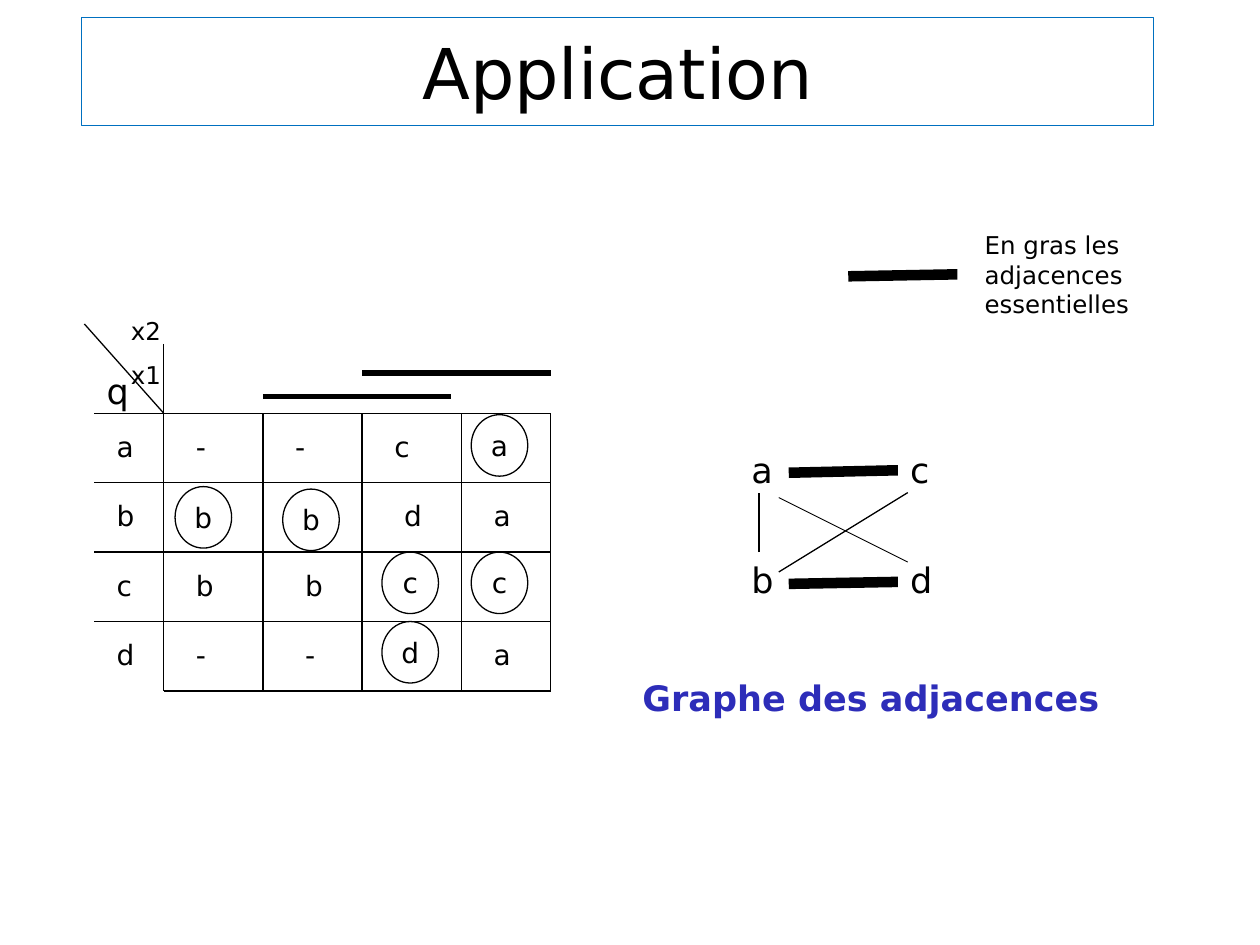
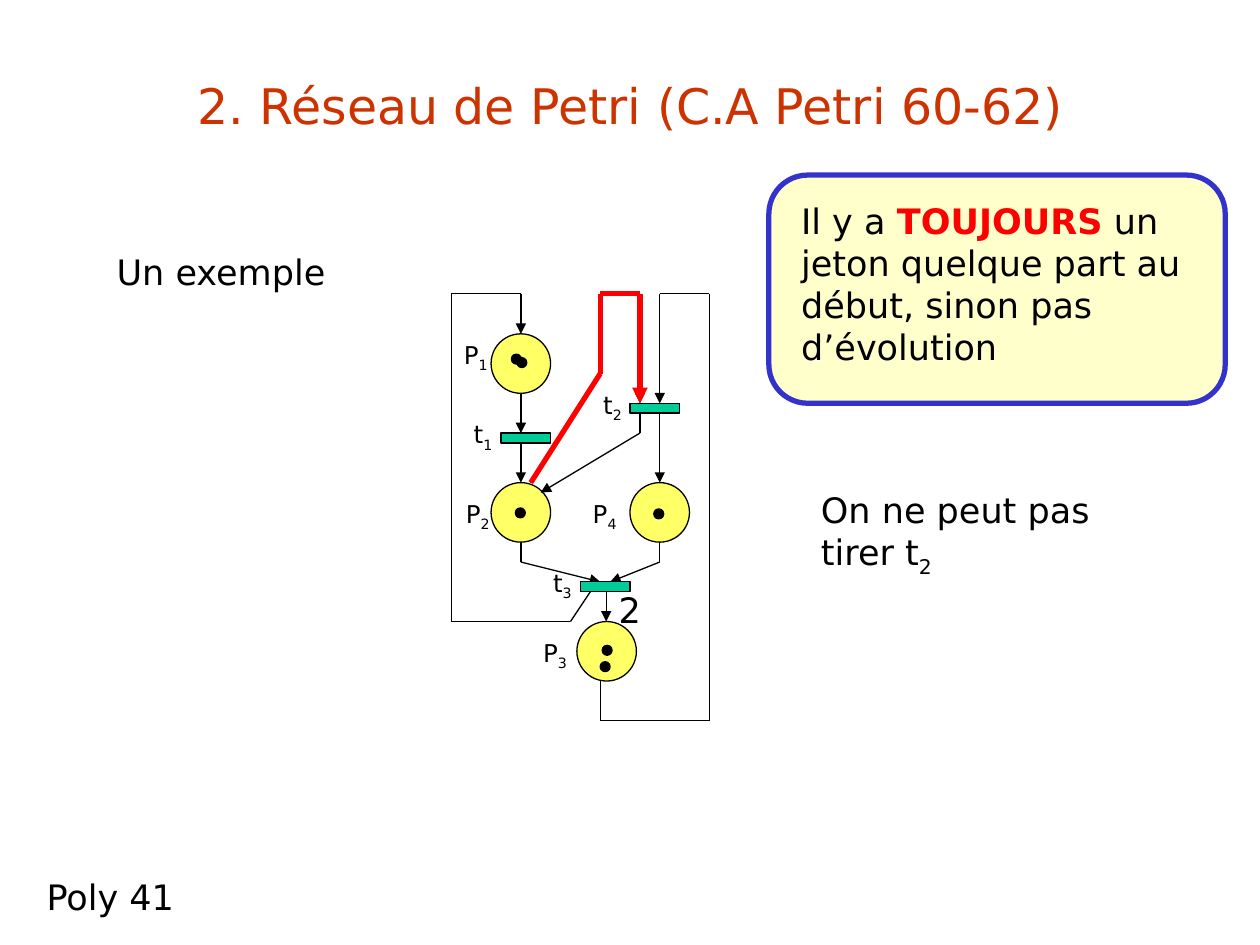
from dataclasses import dataclass
from itertools import pairwise

from lxml import etree
from pptx import Presentation
from pptx.dml.color import RGBColor
from pptx.enum.shapes import MSO_CONNECTOR, MSO_SHAPE
from pptx.enum.text import MSO_ANCHOR, MSO_AUTO_SIZE, PP_ALIGN
from pptx.oxml.ns import qn
from pptx.util import Cm, Pt

STRAIGHT = MSO_CONNECTOR.STRAIGHT
OVAL, BAR, ROUNDED = MSO_SHAPE.OVAL, MSO_SHAPE.RECTANGLE, MSO_SHAPE.ROUNDED_RECTANGLE
LEFT, CENTER = PP_ALIGN.LEFT, PP_ALIGN.CENTER
TOP, MIDDLE = MSO_ANCHOR.TOP, MSO_ANCHOR.MIDDLE
TITLE_ONLY = 5


@dataclass(frozen=True)
class Theme:
    font: str = "DejaVu Sans"
    black: str = "000000"
    red: str = "FF0000"
    title_red: str = "CC3300"
    title_border: str = "0070C0"
    caption_blue: str = "2D2DB9"
    callout_fill: str = "FFFFCC"
    callout_border: str = "3333CC"
    place: str = "FFFF66"
    transition: str = "00CC99"
    label: int = 14
    cell: int = 16
    body: int = 20
    petri_title: int = 28
    big_title: int = 40
    thin: float = 0.75
    thick: float = 3
    essential: float = 6


THEME = Theme()

# Content of slide 1, lengths in cm
APPLICATION_TITLE = "Application"
COLUMN_EDGES = [3.3, 5.3, 7.3, 9.3, 11.1]
STATE_LEFT, TABLE_TOP, ROW_HEIGHT = 1.9, 8.33, 1.4
# State, then its cells: text, left, and for a stable state the circle's drop in the row
STATES = [
    ("a", [("-", 3.7, None), ("-", 5.7, None), ("c", 7.7, None), ("a", 9.5, 0.03)]),
    ("b", [("b", 3.53, 0.08), ("b", 5.7, 0.13), ("d", 7.9, None), ("a", 9.7, None)]),
    ("c", [("b", 3.7, None), ("b", 5.9, None), ("c", 7.7, 0), ("c", 9.5, 0)]),
    ("d", [("-", 3.7, None), ("-", 5.9, None), ("d", 7.7, 0), ("a", 9.7, None)]),
]
INPUT_BARS = [((7.3, 7.52), (11.1, 7.52)), ((5.3, 8), (9.1, 8))]
GRAPH_NODES = [("a", 14.9, 8.92), ("c", 18.1, 8.92), ("b", 14.9, 11.13), ("d", 18.1, 11.13)]
ADJACENCIES = [
    ((15.9, 9.53), (18.1, 9.48), THEME.essential),
    ((15.9, 11.77), (18.1, 11.73), THEME.essential),
    ((15.3, 11.13), (15.3, 9.93), 1),
    ((15.7, 11.53), (18.3, 9.93), THEME.thin),
    ((15.7, 10.03), (18.3, 11.33), 0.5),
    ((17.1, 5.57), (19.3, 5.53), THEME.essential),
]
LEGEND = "En gras les adjacences essentielles"
CAPTION = "Graphe des adjacences"

# Content of slide 2, lengths in cm
PETRI_TITLE = "2. Réseau de Petri (C.A Petri 60-62)"
SUBSCRIPT = {"baseline": -25}
PLACES = [(12.7, 9.73), (9.9, 9.73), (9.9, 6.73), (11.63, 12.53)]
TRANSITIONS = [(10.1, 8.73), (11.7, 11.73), (12.7, 8.13)]
TOKENS = [(13.18, 10.26), (10.42, 7.21), (10.39, 10.24),
          (12.14, 13.01), (12.1, 13.34), (10.31, 7.14)]
BLOCKED_ARC = [(10.7, 9.73), (12.1, 7.53), (12.1, 5.92), (12.9, 5.92), (12.9, 8.13)]
ARCS = [
    [(10.5, 7.93), (10.5, 8.73)],
    [(10.5, 8.93), (10.5, 9.73)],
    [(10.5, 10.93), (10.5, 11.33), (12.1, 11.73)],
    [(13.3, 10.93), (13.3, 11.33), (12.3, 11.73)],
    [(12.22, 11.93), (12.22, 12.53)],
    [(12.1, 13.73), (12.1, 14.53), (14.3, 14.53), (14.3, 5.92), (13.3, 5.92), (13.3, 8.13)],
    [(13.3, 8.33), (13.3, 9.73)],
    [(12.9, 8.33), (12.9, 8.73), (10.9, 9.93)],
    [(11.9, 11.93), (11.5, 12.53), (9.1, 12.53), (9.1, 5.92), (10.5, 5.92), (10.5, 6.73)],
    BLOCKED_ARC,
]
NET_LABELS = [
    ("t", "1", 9.3, 8.33), ("t", "2", 11.91, 7.73), ("t", "3", 10.9, 11.33),
    ("P", "1", 9.1, 6.73), ("P", "2", 9.14, 9.93), ("P", "4", 11.7, 9.93),
    ("P", "3", 10.7, 12.73),
]
CALLOUT = [("Il y a ", {}), ("TOUJOURS", {"color": THEME.red, "bold": True}),
           (" un jeton quelque part au début, sinon pas d’évolution", {})]
BLOCKED_NOTE = [("On ne peut pas tirer t", {}), ("2", SUBSCRIPT)]
NET_NOTES = [
    ("Un exemple", (2.1, 4.93, 4.8, 1.1)),
    (CALLOUT, (15.9, 3.89, 8.99, 3.63)),
    ("2", (12.22, 11.73, 1.4, 1.1)),
    (BLOCKED_NOTE, (16.3, 9.73, 7.6, 1.96)),
    ("Poly 41", (0.69, 17.53, 3.6, 1.1)),
]


# Shared helpers
def rgb(color):
    return RGBColor.from_string(color)


def cm(*lengths):
    return [Cm(length) for length in lengths]


def format_run(run, size, color, bold=False, baseline=0):
    run.font.name, run.font.size, run.font.bold = THEME.font, Pt(size), bold
    run.font.color.rgb = rgb(color)
    if baseline:
        run.font._element.set("baseline", str(baseline * 1000))


def write(shape, *paragraphs, size=THEME.body, color=THEME.black, bold=False,
          align=LEFT, anchor=TOP, space_before=0):
    """Fill a shape; a paragraph is a string or a list of (text, run format)."""
    frame = shape.text_frame
    frame.word_wrap, frame.auto_size = True, MSO_AUTO_SIZE.NONE
    frame.vertical_anchor = anchor
    for index, content in enumerate(paragraphs):
        paragraph = frame.add_paragraph() if index else frame.paragraphs[0]
        paragraph.alignment = align
        if index:
            paragraph.space_before = Pt(space_before)
        runs = [(content, {})] if isinstance(content, str) else content
        for text, changes in runs:
            run = paragraph.add_run()
            run.text = text
            format_run(run, **{"size": size, "color": color, "bold": bold, **changes})


def add_text(slide, box, *paragraphs, **text_format):
    write(slide.shapes.add_textbox(*cm(*box)), *paragraphs, **text_format)


def add_title(slide, text, box, size, color):
    title = slide.shapes.title
    title.left, title.top, title.width, title.height = cm(*box)
    write(title, text, size=size, color=color, align=CENTER, anchor=MIDDLE)
    return title


def add_line(slide, start, end, color=THEME.black, width=THEME.thin, arrow=False):
    connector = slide.shapes.add_connector(STRAIGHT, *cm(*start, *end))
    connector.line.color.rgb, connector.line.width = rgb(color), Pt(width)
    if arrow:
        etree.SubElement(connector.line._get_or_add_ln(), qn("a:tailEnd"), type="triangle")
    etree.SubElement(connector._element.spPr, qn("a:effectLst"))


def add_arc(slide, points, **line_format):
    """Join the points, with an arrowhead on the last segment."""
    for start, end in pairwise(points):
        add_line(slide, start, end, arrow=end == points[-1], **line_format)


def add_figure(slide, kind, box, fill=None, border=THEME.black, width=THEME.thin):
    shape = slide.shapes.add_shape(kind, *cm(*box))
    shape.shadow.inherit = False
    if fill:
        shape.fill.solid()
        shape.fill.fore_color.rgb = rgb(fill)
    else:
        shape.fill.background()
    shape.line.color.rgb, shape.line.width = rgb(border), Pt(width)
    return shape


# Slide 1: transition table and adjacency graph
def draw_state_table(slide):
    right, bottom = COLUMN_EDGES[-1], TABLE_TOP + len(STATES) * ROW_HEIGHT
    for index, x in enumerate(COLUMN_EDGES):
        add_line(slide, (x, TABLE_TOP if index else 6.93), (x, bottom))
    for index in range(len(STATES) + 1):
        y = TABLE_TOP + index * ROW_HEIGHT
        left = STATE_LEFT if index < len(STATES) else COLUMN_EDGES[0]
        add_line(slide, (left, y), (right, y))
    for start, end in INPUT_BARS:
        add_line(slide, start, end, width=THEME.thick)

    for index, (state, cells) in enumerate(STATES):
        top = TABLE_TOP + index * ROW_HEIGHT
        for text, left, drop in [(state, 2.1, None), *cells]:
            if drop is None:
                add_text(slide, (left, top + 0.2, 0.81, 0.94), text, size=THEME.cell)
                continue
            circle = add_figure(slide, OVAL, (left, top + drop, 1.14, 1.24))
            frame = circle.text_frame
            frame.margin_left = frame.margin_right = 0
            frame.margin_top = frame.margin_bottom = 0
            write(circle, text, size=THEME.cell, align=CENTER, anchor=MIDDLE)

    # Corner with the variable names
    add_line(slide, (COLUMN_EDGES[0], TABLE_TOP), (1.7, 6.53))
    add_text(slide, (2.39, 6.25, 1.2, 1.73), "x2", "x1", size=THEME.label, space_before=8)
    add_text(slide, (1.9, 7.32, 1, 1.1), "q")


def build_application(slide):
    draw_state_table(slide)
    for name, left, top in GRAPH_NODES:
        add_text(slide, (left, top, 1.6, 1.12), name)
    for start, end, width in ADJACENCIES:
        add_line(slide, start, end, width=width)
    add_text(slide, (19.6, 4.52, 5.8, 2.06), LEGEND, size=THEME.label)
    add_text(slide, (12.7, 13.52, 11.1, 1.12), CAPTION, color=THEME.caption_blue, bold=True)
    title = add_title(slide, APPLICATION_TITLE, (1.65, 0.35, 21.6, 2.18),
                      THEME.big_title, THEME.black)
    title.line.color.rgb, title.line.width = rgb(THEME.title_border), Pt(THEME.thin)


# Slide 2: Petri net with its remarks
def build_petri_net(slide):
    add_title(slide, PETRI_TITLE, (1.9, 0.53, 21.6, 3.18), THEME.petri_title, THEME.title_red)
    for left, top in PLACES:
        add_figure(slide, OVAL, (left, top, 1.2, 1.2), THEME.place)
    for points in ARCS:
        add_arc(slide, points)
    for left, top in TRANSITIONS:
        add_figure(slide, BAR, (left, top, 1, 0.2), THEME.transition)
    for left, top in TOKENS:
        add_figure(slide, OVAL, (left, top, 0.2, 0.2), THEME.black)
    for letter, number, left, top in NET_LABELS:
        add_text(slide, (left, top, 1 if letter == "t" else 1.6, 0.84),
                 [(letter, {}), (number, SUBSCRIPT)], size=THEME.label)
    add_arc(slide, BLOCKED_ARC, color=THEME.red, width=THEME.thick)

    callout = add_figure(slide, ROUNDED, (15.5, 3.53, 9.2, 4.6), THEME.callout_fill,
                         THEME.callout_border, THEME.thick)
    callout.adjustments[0] = 0.17
    for text, box in NET_NOTES:
        add_text(slide, box, text)


def main():
    presentation = Presentation()
    presentation.slide_width, presentation.slide_height = cm(25.4, 19.05)
    for build in (build_application, build_petri_net):
        build(presentation.slides.add_slide(presentation.slide_layouts[TITLE_ONLY]))
    presentation.save("out.pptx")


if __name__ == "__main__":
    main()
